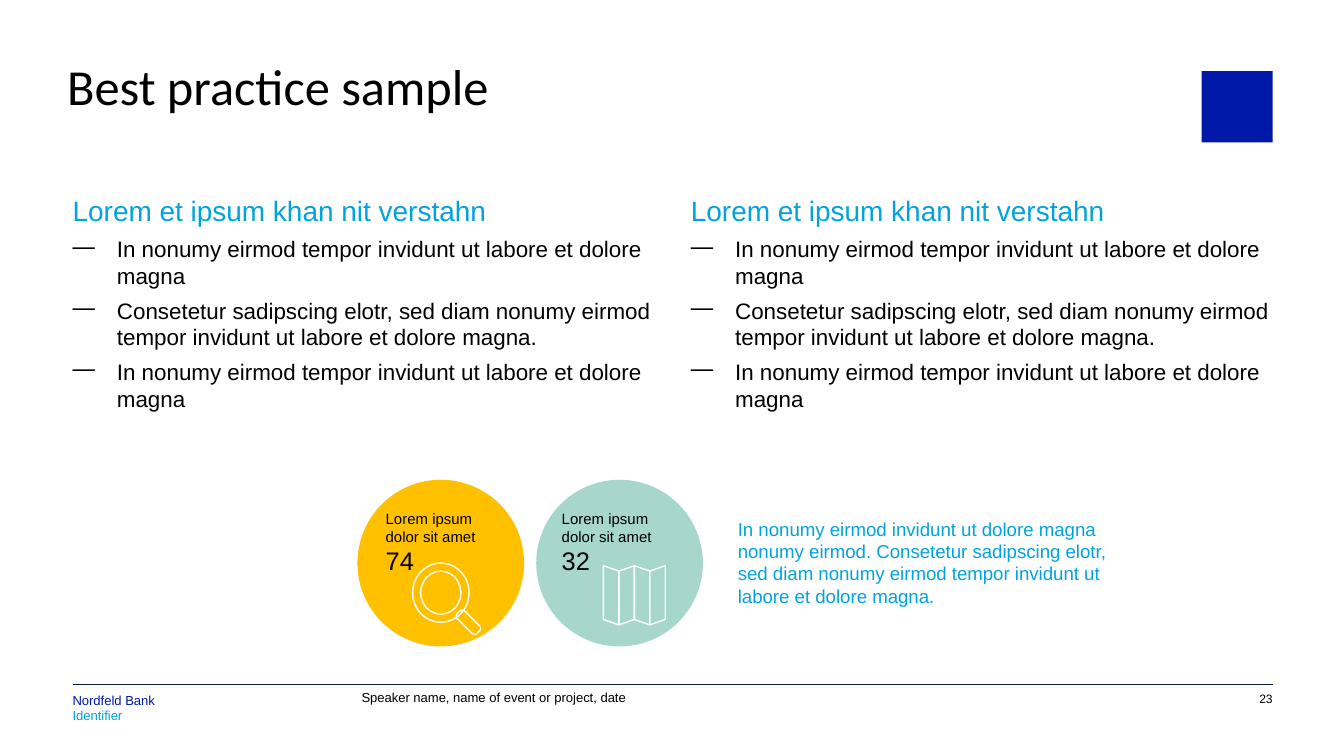
from lxml import etree
from pptx import Presentation
from pptx.dml.color import RGBColor
from pptx.enum.shapes import MSO_CONNECTOR, MSO_SHAPE
from pptx.enum.text import MSO_ANCHOR, MSO_AUTO_SIZE, PP_ALIGN
from pptx.oxml.ns import qn
from pptx.util import Inches, Pt

OVAL, SQUARE, ROUNDED = MSO_SHAPE.OVAL, MSO_SHAPE.RECTANGLE, MSO_SHAPE.ROUNDED_RECTANGLE
STRAIGHT = MSO_CONNECTOR.STRAIGHT
TOP, MIDDLE = MSO_ANCHOR.TOP, MSO_ANCHOR.MIDDLE
LEFT, RIGHT = PP_ALIGN.LEFT, PP_ALIGN.RIGHT
NO_FIT, GROW = MSO_AUTO_SIZE.NONE, MSO_AUTO_SIZE.SHAPE_TO_FIT_TEXT

COLORS = {
    "navy": "0018A8", "rule": "0C2340", "cyan": "00A3E0", "black": "000000",
    "amber": "FFC000", "mint": "A7D6CD", "white": "FFFFFF",
}
HEADING = "Lorem et ipsum khan nit verstahn"
SHORT_POINT = "In nonumy eirmod tempor invidunt ut labore et dolore magna"
LONG_POINT = ("Consetetur sadipscing elotr, sed diam nonumy eirmod "
              "tempor invidunt ut labore et dolore magna.")
SIDE_NOTE = ("In nonumy eirmod invidunt ut dolore magna nonumy eirmod. Consetetur sadipscing "
             "elotr, sed diam nonumy eirmod tempor invidunt ut labore et dolore magna.")


def color(name):
    return RGBColor.from_string(COLORS[name])


def set_frame(shape, box, insets=(0, 0, 0, 0), anchor=TOP, wrap=True, fit=NO_FIT):
    shape.left, shape.top, shape.width, shape.height = [Inches(v) for v in box]
    frame = shape.text_frame
    frame.auto_size = fit
    frame.word_wrap = wrap
    frame.vertical_anchor = anchor
    (frame.margin_left, frame.margin_top,
     frame.margin_right, frame.margin_bottom) = [Inches(v) for v in insets]
    return frame


def add_frame(slide, box, **options):
    return set_frame(slide.shapes.add_textbox(0, 0, 0, 0), box, **options)


def write(frame, text, size, fill="black", font="Arial", align=LEFT, spacing=None,
          gap=0, level=0, indent=None, bullet=None):
    para = frame.paragraphs[0]
    if para.runs:
        para = frame.add_paragraph()
    para.alignment = align
    para.level = level
    para.space_before = para.space_after = Pt(gap)
    if spacing:
        para.line_spacing = spacing
    props = para._p.get_or_add_pPr()
    if indent:
        props.set("marL", str(Inches(indent[0])))
        props.set("indent", str(Inches(indent[1])))
    if bullet:
        etree.SubElement(props, qn("a:buChar")).set("char", bullet)
    span = para.add_run()
    span.text = text
    span.font.size = Pt(size)
    span.font.name = font
    span.font.color.rgb = color(fill)


def style(shape, fill=None, line=None, weight=0.75):
    shape.shadow.inherit = False
    if fill:
        shape.fill.solid()
        shape.fill.fore_color.rgb = color(fill)
    else:
        shape.fill.background()
    if line:
        shape.line.color.rgb = color(line)
        shape.line.width = Pt(weight)
    else:
        shape.line.fill.background()


def add_shape(slide, kind, box, **look):
    shape = slide.shapes.add_shape(kind, *[Inches(v) for v in box])
    style(shape, **look)
    return shape


def add_header(slide, box):
    left, top, width, height = box
    frame = set_frame(slide.shapes.title, (left, top, width - 0.54, height),
                      insets=(0, 0, 0.59, 0))
    write(frame, "Best practice sample", 27, font="Calibri", spacing=0.8)
    add_shape(slide, SQUARE, (left + width - 0.53, top + 0.03, 0.53, 0.53), fill="navy")


def add_column(slide, box):
    frame = add_frame(slide, box)
    write(frame, HEADING, 15, fill="cyan", spacing=0.9, gap=2)
    for point in (SHORT_POINT, LONG_POINT, SHORT_POINT):
        write(frame, point, 12, gap=2, level=1, indent=(0.33, -0.33), bullet="—")


def add_bubble(slide, box, fill, value, label_left):
    left, top = box[:2]
    add_shape(slide, OVAL, box, fill=fill)
    frame = add_frame(slide, (left + label_left, top + 0.18, 0.84, 0.58),
                      insets=(0.07, 0.04, 0.07, 0.04), anchor=MIDDLE, wrap=False, fit=GROW)
    for text in ("Lorem ipsum", "dolor sit amet"):
        write(frame, text, 8, spacing=Pt(9.5))
    write(frame, value, 13.6)


def add_magnifier(slide, box):
    left, top = box[:2]
    for inset in (0, 0.06):
        add_shape(slide, OVAL, (left + inset, top + inset, 0.42 - 2 * inset, 0.44 - 2 * inset),
                  line="white")
    handle = add_shape(slide, ROUNDED, (left + 0.31, top + 0.4, 0.21, 0.08), line="white")
    handle.adjustments[0] = 0.35
    handle.rotation = 45


def add_map(slide, box):
    left, top, width, height = box
    folds = [(left + i * width / 4, top + 0.04 * (i % 2)) for i in range(5)]
    drop = height - 0.04
    builder = None
    for (x1, y1), (x2, y2) in zip(folds, folds[1:]):
        corners = [(Inches(x), Inches(y)) for x, y in
                   ((x1, y1), (x2, y2), (x2, y2 + drop), (x1, y1 + drop))]
        if builder is None:
            builder = slide.shapes.build_freeform(*corners[0])
        else:
            builder.move_to(*corners[0])
        builder.add_line_segments(corners[1:], close=True)
    style(builder.convert_to_shape(), line="white")


def add_side_note(slide, box):
    write(add_frame(slide, box), SIDE_NOTE, 10, fill="cyan", gap=3, level=1, indent=(0.01, 0))


def add_footer(slide, box):
    left, top, width, height = box
    rule = slide.shapes.add_connector(STRAIGHT, Inches(left + width), Inches(top),
                                      Inches(left), Inches(top))
    rule.line.color.rgb = color("rule")
    rule.line.width = Pt(0.5)
    etree.SubElement(rule._element.spPr, qn("a:effectLst"))

    insets = (0, 0.07, 0, 0)
    sender = add_frame(slide, (left, top, 1.97, height), insets=insets)
    write(sender, "Nordfeld Bank", 7, fill="navy", spacing=Pt(8))
    write(sender, "Identifier", 7, fill="cyan", spacing=Pt(8))
    event = add_frame(slide, (left + 2.15, top, 2.5, height), insets=insets)
    write(event, "Speaker name, name of event or project, date", 7, spacing=Pt(6.5))
    number = add_frame(slide, (left + width - 0.54, top, 0.54, height), insets=insets)
    write(number, "23", 6.5, align=RIGHT, spacing=Pt(6.5))


def main():
    deck = Presentation()
    deck.slide_width, deck.slide_height = Inches(10), Inches(10 * 9 / 16)
    page = deck.slides.add_slide(deck.slide_layouts[5])
    add_header(page, (0.5, 0.5, 8.97, 0.59))
    for left in (0.54, 5.14):
        add_column(page, (left, 1.47, 4.32, 1.68))
    add_bubble(page, (2.66, 3.57, 1.24, 1.24), "amber", "74", 0.14)
    add_bubble(page, (3.99, 3.57, 1.24, 1.24), "mint", "32", 0.12)
    add_magnifier(page, (3.07, 4.19, 0.5, 0.53))
    add_map(page, (4.49, 4.21, 0.46, 0.44))
    add_side_note(page, (5.48, 3.85, 2.78, 0.69))
    add_footer(page, (0.54, 5.09, 8.93, 0.27))
    deck.save("out.pptx")


if __name__ == "__main__":
    main()
